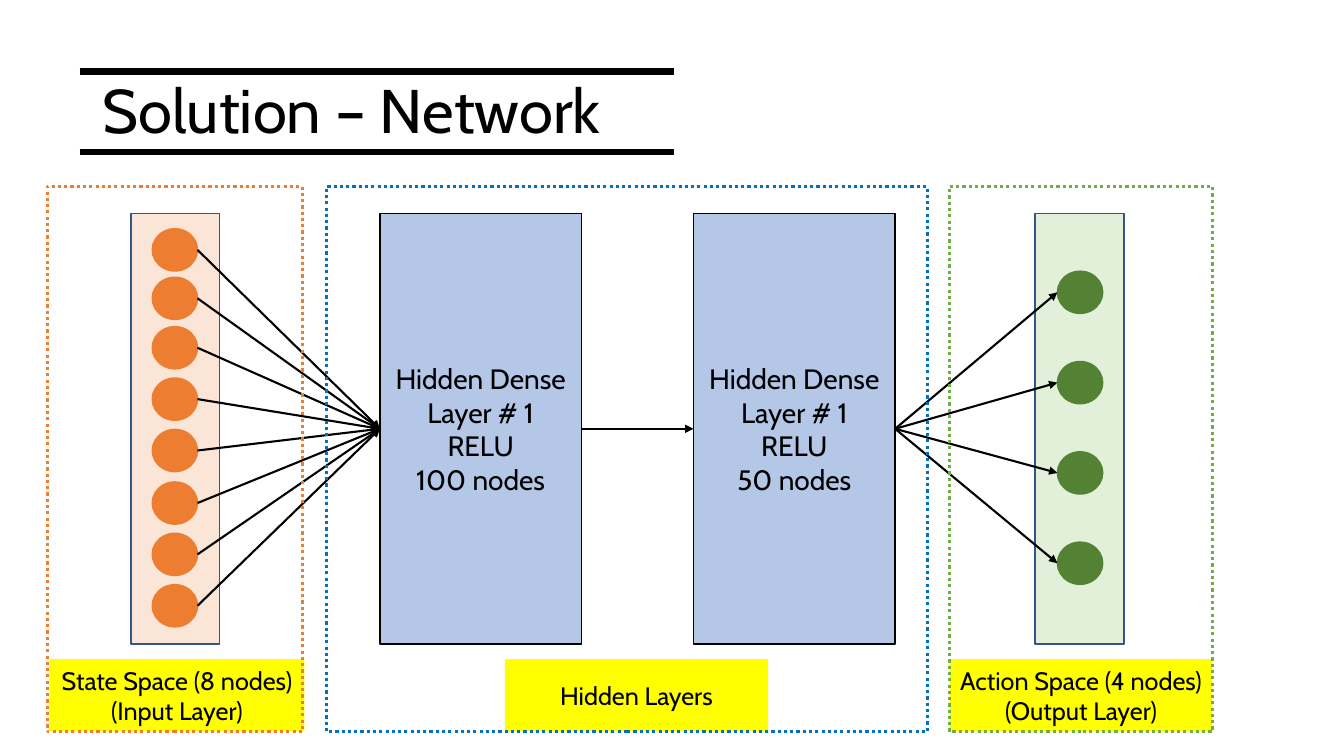
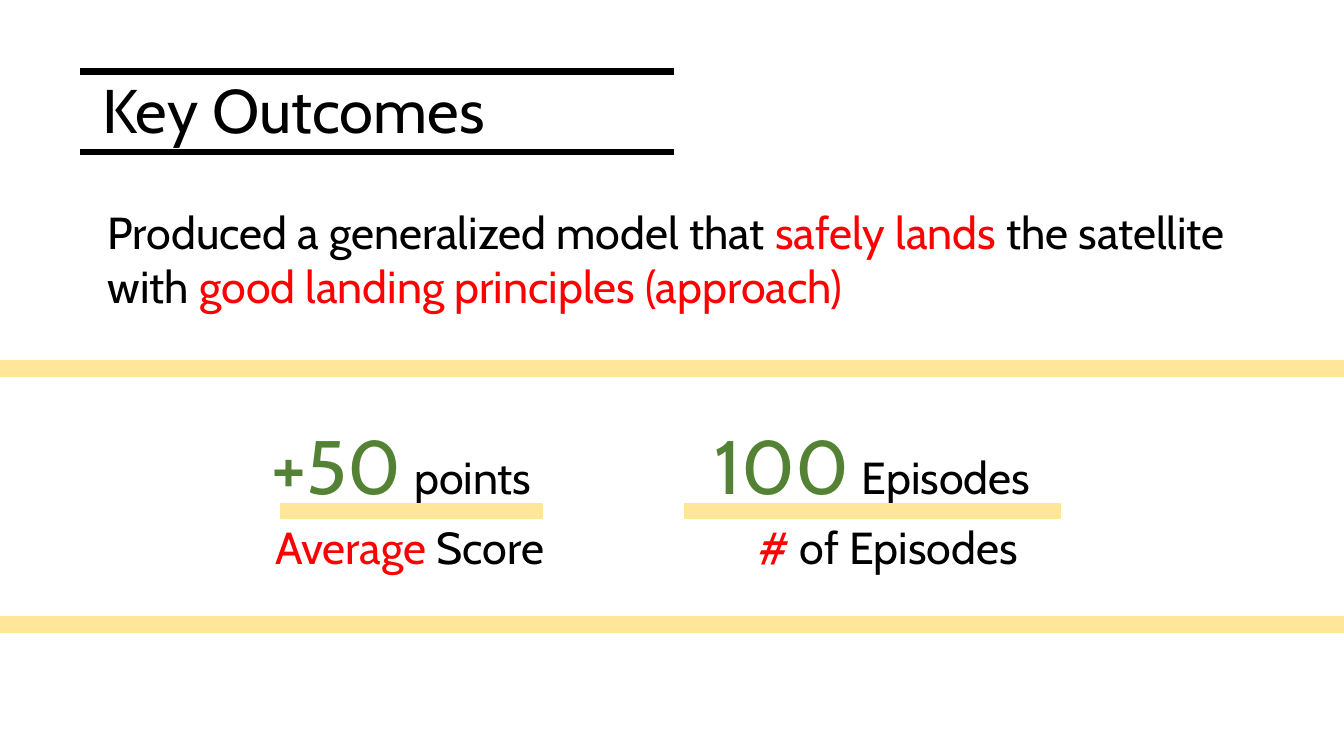
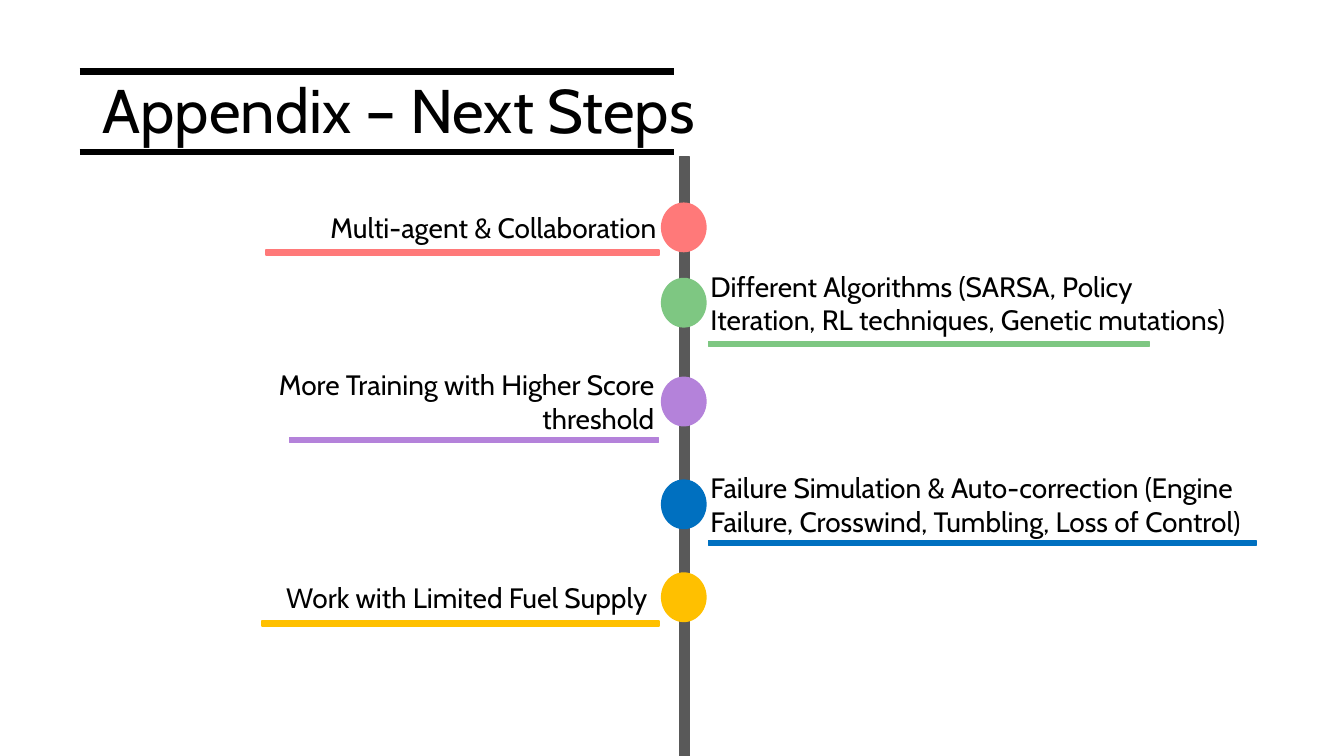
from lxml import etree
from pptx import Presentation
from pptx.dml.color import RGBColor
from pptx.enum.dml import MSO_LINE
from pptx.enum.shapes import MSO_CONNECTOR, MSO_SHAPE
from pptx.enum.text import MSO_ANCHOR, PP_ALIGN
from pptx.oxml.ns import qn
from pptx.util import Pt

RECT, OVAL = MSO_SHAPE.RECTANGLE, MSO_SHAPE.OVAL
STRAIGHT = MSO_CONNECTOR.STRAIGHT
DOTTED = MSO_LINE.ROUND_DOT
LEFT, CENTER, RIGHT = PP_ALIGN.LEFT, PP_ALIGN.CENTER, PP_ALIGN.RIGHT
TOP, MIDDLE = MSO_ANCHOR.TOP, MSO_ANCHOR.MIDDLE
SIDE_LEFT, SIDE_RIGHT = 1, 3

FONT = "Cabin"
BLACK = RGBColor(0x00, 0x00, 0x00)
RED = RGBColor(0xFF, 0x00, 0x00)
YELLOW = RGBColor(0xFF, 0xFF, 0x00)
SAND = RGBColor(0xFF, 0xE6, 0x99)
NAVY = RGBColor(0x32, 0x54, 0x91)
BLUE = RGBColor(0x00, 0x70, 0xC0)
PALE_BLUE = RGBColor(0xB4, 0xC7, 0xE7)
ORANGE = RGBColor(0xED, 0x7D, 0x31)
PALE_ORANGE = RGBColor(0xFB, 0xE5, 0xD6)
GREEN = RGBColor(0x70, 0xAD, 0x47)
DARK_GREEN = RGBColor(0x54, 0x82, 0x35)
PALE_GREEN = RGBColor(0xE2, 0xF0, 0xD9)
GREY = RGBColor(0x59, 0x59, 0x59)
CORAL = RGBColor(0xFF, 0x79, 0x79)
MINT = RGBColor(0x7E, 0xC7, 0x82)
PURPLE = RGBColor(0xB4, 0x82, 0xDA)
GOLD = RGBColor(0xFF, 0xC0, 0x00)

SLIDE_WIDTH, SLIDE_HEIGHT = 960, 540


def write(frame, paragraphs, size=20, color=BLACK, align=LEFT, anchor=MIDDLE,
          spacing=1.0, inset=7.2):
    """Fill a frame; a paragraph is a string or a list of (text, color, size) runs."""
    frame.word_wrap = True
    frame.vertical_anchor = anchor
    frame.margin_left = frame.margin_right = Pt(inset)
    for index, content in enumerate(paragraphs):
        paragraph = frame.add_paragraph() if index else frame.paragraphs[0]
        paragraph.alignment = align
        paragraph.line_spacing = spacing
        runs = [(content, color, size)] if isinstance(content, str) else content
        for text, run_color, run_size in runs:
            run = paragraph.add_run()
            run.text = text
            run.font.name = FONT
            run.font.size = Pt(run_size)
            run.font.color.rgb = run_color


class Deck:
    def __init__(self):
        self.presentation = Presentation()
        self.presentation.slide_width = Pt(SLIDE_WIDTH)
        self.presentation.slide_height = Pt(SLIDE_HEIGHT)
        self.slide = None

    def start(self, title):
        """Add a slide with its title between two rules."""
        blank = self.presentation.slide_layouts[6]
        self.slide = self.presentation.slides.add_slide(blank)
        for y in (51.1, 108.7):
            self.line((56.9, y), (481.7, y), width=4.5)
        self.text(66.2, 28.8, 828, 104.4, [title], size=44, spacing=0.9)

    def text(self, left, top, width, height, paragraphs, **style):
        box = self.slide.shapes.add_textbox(Pt(left), Pt(top), Pt(width), Pt(height))
        write(box.text_frame, paragraphs, **style)

    def shape(self, kind, left, top, width, height, fill=None, line=None,
              weight=1, dash=None):
        shape = self.slide.shapes.add_shape(
            kind, Pt(left), Pt(top), Pt(width), Pt(height))
        shape.shadow.inherit = False
        for part, color in ((shape.fill, fill), (shape.line.fill, line)):
            if color is None:
                part.background()
            else:
                part.solid()
                part.fore_color.rgb = color
        if line is not None:
            shape.line.width = Pt(weight)
            shape.line.dash_style = dash
        return shape

    def bar(self, left, top, width, height, color):
        self.shape(RECT, left, top, width, height, color, color)

    def line(self, start, end, width=1.5, arrow=False):
        connector = self.slide.shapes.add_connector(
            STRAIGHT, *(Pt(value) for value in (*start, *end)))
        connector.line.color.rgb = BLACK
        connector.line.width = Pt(width)
        if arrow:
            tail = etree.SubElement(connector.get_or_add_ln(), qn("a:tailEnd"))
            tail.set("type", "triangle")
        etree.SubElement(connector.element.spPr, qn("a:effectLst"))
        return connector


def network_slide(deck):
    deck.start("Solution – Network")

    labels = [
        (678.2, 187.9, ["Action Space (4 nodes)", "(Output Layer)"]),
        (360.7, 187.9, ["Hidden Layers"]),
        (35.3, 182.2, ["State Space (8 nodes)", "(Input Layer)"]),
    ]
    for left, width, caption in labels:
        label = deck.shape(RECT, left, 470.9, width, 51.1, YELLOW)
        write(label.text_frame, caption, size=18, align=CENTER, inset=0)

    layer_top, layer_height = 152.6, 307.4
    layer_middle = layer_top + layer_height / 2
    for left, fill in ((93.6, PALE_ORANGE), (739.4, PALE_GREEN)):
        deck.shape(RECT, left, layer_top, 63.4, layer_height, fill, NAVY)
    hidden_left, hidden_width = (271.4, 495.4), 144
    hidden = []
    for left, count in zip(hidden_left, (100, 50)):
        layer = deck.shape(RECT, left, layer_top, hidden_width, layer_height,
                           PALE_BLUE, BLACK)
        write(layer.text_frame,
              ["Hidden Dense Layer # 1", "RELU", f"{count} nodes"], align=CENTER)
        hidden.append(layer)
    first, second = hidden

    node_width, node_height = 32.4, 30.2
    input_left, output_left = 108.7, 755.3
    input_tops = (163.4, 198, 233.3, 270, 306.7, 344.2, 380.9, 417.6)
    output_tops = [193.7 + 64.5 * row for row in range(4)]
    first_entry = (hidden_left[0], layer_middle)
    second_exit = (hidden_left[1] + hidden_width, layer_middle)

    for top in input_tops:
        deck.shape(OVAL, input_left, top, node_width, node_height, ORANGE, ORANGE)
        node_exit = (input_left + node_width, top + node_height / 2)
        arrow = deck.line(node_exit, first_entry, arrow=True)
        arrow.end_connect(first, SIDE_LEFT)
    for top in output_tops:
        deck.shape(OVAL, output_left, top, node_width, node_height,
                   DARK_GREEN, DARK_GREEN)
        node_entry = (output_left, top + node_height / 2)
        arrow = deck.line(second_exit, node_entry, arrow=True)
        arrow.begin_connect(second, SIDE_RIGHT)
    between = deck.line((hidden_left[0] + hidden_width, layer_middle),
                        (hidden_left[1], layer_middle), arrow=True)
    between.begin_connect(first, SIDE_RIGHT)
    between.end_connect(second, SIDE_LEFT)

    stages = ((233.3, 429.1, BLUE), (678.2, 187.9, GREEN), (33.8, 182.2, ORANGE))
    for left, width, color in stages:
        deck.shape(RECT, left, 133.2, width, 389.5, line=color, weight=2.25,
                   dash=DOTTED)


def outcomes_slide(deck):
    deck.start("Key Outcomes")
    for top in (257.8, 440.6):
        deck.bar(0, top, SLIDE_WIDTH, 10.8, SAND)

    # value, unit, value left, caption runs, caption left and width, bar left and width
    results = [
        ("+50", "points", 152.6, [("Average", RED, 32), (" Score", BLACK, 32)],
         189.4, 206.6, 200.2, 187.2),
        ("100", "Episodes", 488.9, [("# ", RED, 32), ("of Episodes", BLACK, 32)],
         488.9, 290.9, 488.9, 268.6),
    ]
    for (value, unit, value_left, caption, caption_left, caption_width,
         bar_left, bar_width) in results:
        figure = [(value, DARK_GREEN, 54), (" ", BLACK, 40), (unit, BLACK, 32)]
        deck.text(value_left, 295.2, 268.6, 72.7, [figure], align=CENTER)
        deck.text(caption_left, 367.2, caption_width, 46.1, [caption], align=CENTER)
        deck.bar(bar_left, 360, bar_width, 10.1, SAND)

    statement = [
        ("Produced a generalized model that ", BLACK, 32),
        ("safely lands ", RED, 32),
        ("the satellite with ", BLACK, 32),
        ("good landing principles (approach)", RED, 32),
    ]
    deck.text(69.8, 142.6, 837.4, 85, [statement], anchor=TOP)


def next_steps_slide(deck):
    deck.start("Appendix – Next Steps")
    deck.bar(485.3, 112.3, 7.2, SLIDE_HEIGHT - 112.3, GREY)

    dot_width, dot_height, text_height = 31.7, 34.6, 55.4
    # text, alignment, middle, text left and right, bar left and right, bar top, color
    steps = [
        ("Multi-agent & Collaboration", RIGHT, 162.4,
         100, 475.9, 190.1, 470.9, 178.6, CORAL),
        ("Different Algorithms (SARSA, Policy Iteration, RL techniques, "
         "Genetic mutations)", LEFT, 216.2, 500.4, 893.5, 506.2, 820.8, 244.1, MINT),
        ("More Training with Higher Score threshold", RIGHT, 286.8,
         127.4, 474.5, 206.6, 470.2, 312.5, PURPLE),
        ("Failure Simulation & Auto-correction (Engine Failure, Crosswind, "
         "Tumbling, Loss of Control)", LEFT, 360.2,
         500.4, 904.3, 506.2, 897.1, 385.9, BLUE),
        ("Work with Limited Fuel Supply", RIGHT, 426.6,
         136.8, 469.5, 187.2, 470.9, 443.5, GOLD),
    ]
    for (step, align, middle, text_left, text_right,
         bar_left, bar_right, bar_top, color) in steps:
        deck.text(text_left, middle - text_height / 2, text_right - text_left,
                  text_height, [step], align=align)
        deck.shape(OVAL, 472.6, middle - dot_height / 2, dot_width, dot_height,
                   color, color)
        deck.bar(bar_left, bar_top, bar_right - bar_left, 3.6, color)


def main():
    deck = Deck()
    network_slide(deck)
    outcomes_slide(deck)
    next_steps_slide(deck)
    deck.presentation.save("out.pptx")


if __name__ == "__main__":
    main()
